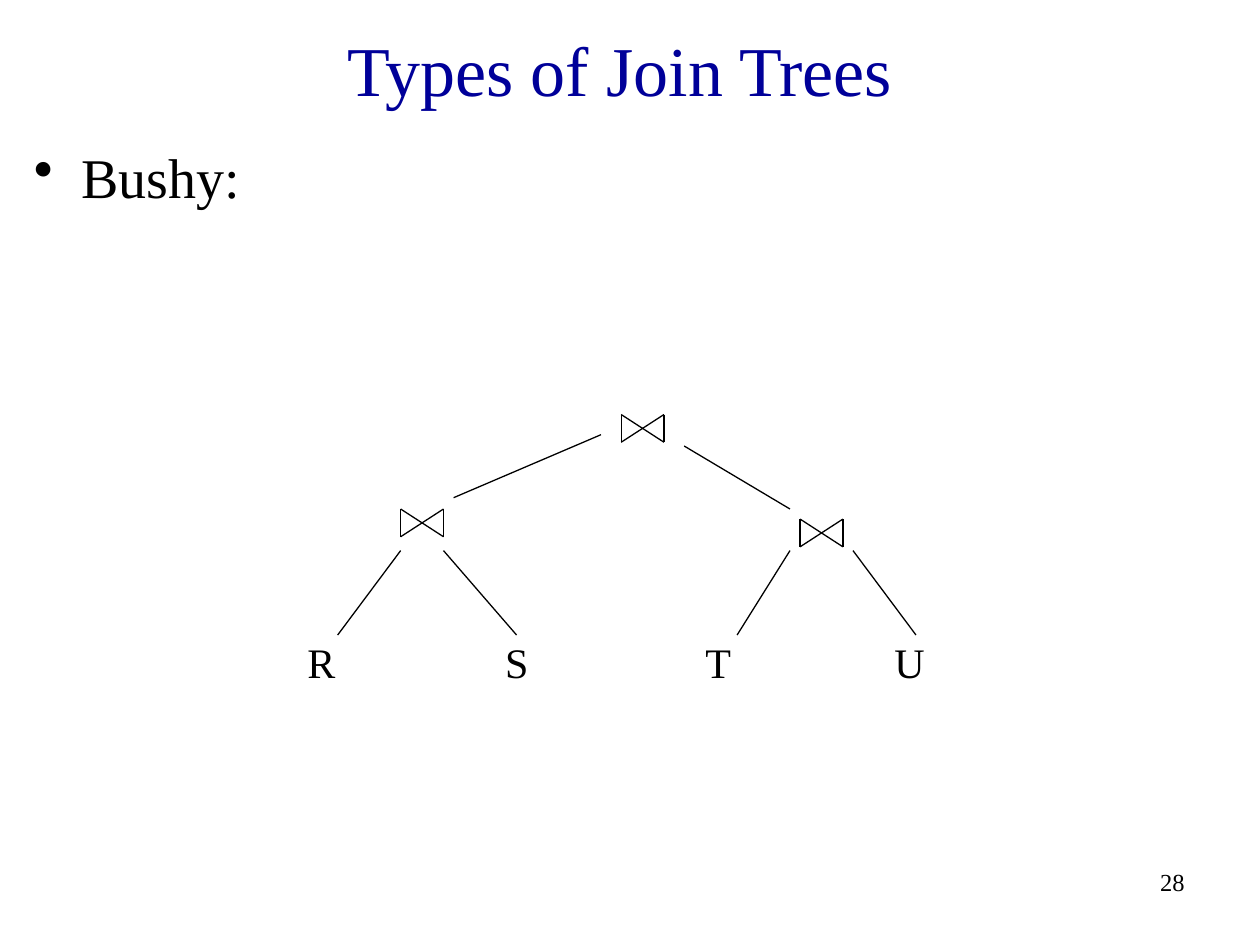
import pptx
import pptx.util
import pptx.dml.color
import pptx.enum.shapes
import pptx.enum.text
import pptx.oxml
import pptx.oxml.ns
from pptx.util import Inches

FONT = "Times New Roman"
BLACK = "000000"
TITLE_BLUE = "000099"
ALIGN = pptx.enum.text.PP_ALIGN
JOIN_WIDTH, JOIN_HEIGHT = 0.34, 0.22

# Top-left corners of the join symbols: root, left child, right child
JOINS = [(4.93, 3.29), (3.18, 4.04), (6.35, 4.12)]
# Relation name, left edge and width of its label
RELATIONS = [("R", 2.34, 0.42), ("S", 3.91, 0.38), ("T", 5.5, 0.4), ("U", 7, 0.44)]
# Tree edges from parent to child
BRANCHES = [
    ((4.77, 3.45), (3.6, 3.95)),
    ((5.43, 3.54), (6.27, 4.04)),
    ((3.18, 4.37), (2.68, 5.04)),
    ((3.52, 4.37), (4.1, 5.04)),
    ((6.27, 4.37), (5.85, 5.04)),
    ((6.77, 4.37), (7.27, 5.04)),
]


def rgb(color):
    return pptx.dml.color.RGBColor.from_string(color)


def write(frame, text, size, color=BLACK, align=ALIGN.LEFT):
    frame.text = text
    paragraph = frame.paragraphs[0]
    paragraph.alignment = align
    paragraph.font.name = FONT
    paragraph.font.size = pptx.util.Pt(size)
    paragraph.font.color.rgb = rgb(color)
    return paragraph


def add_title(slide, text):
    title = slide.shapes.title
    title.left, title.top = Inches(0.17), Inches(0.17)
    title.width, title.height = Inches(9.5), Inches(0.75)
    title.text_frame.auto_size = pptx.enum.text.MSO_AUTO_SIZE.NONE
    title.text_frame.vertical_anchor = pptx.enum.text.MSO_ANCHOR.MIDDLE
    write(title.text_frame, text, 40, TITLE_BLUE, ALIGN.CENTER)


def add_text(slide, text, left, top, width, height, size, align=ALIGN.LEFT, wrap=True):
    label = slide.shapes.add_textbox(Inches(left), Inches(top), Inches(width), Inches(height))
    label.text_frame.word_wrap = wrap
    return write(label.text_frame, text, size, align=align)


def add_bullet(paragraph):
    paragraph.space_before = pptx.util.Pt(8)
    properties = paragraph._p.get_or_add_pPr()
    properties.set("marL", str(Inches(0.38)))
    properties.set("indent", str(-Inches(0.38)))
    bullet = pptx.oxml.ns.qn("a:buChar")
    properties.append(properties.makeelement(bullet, {"char": "•"}))


def add_line(shapes, start, end):
    line = shapes.add_connector(
        pptx.enum.shapes.MSO_CONNECTOR.STRAIGHT, *map(Inches, start + end))
    line.line.color.rgb = rgb(BLACK)
    line.line.width = pptx.util.Pt(0.75)
    properties = line._element.spPr
    properties.append(properties.makeelement(pptx.oxml.ns.qn("a:effectLst"), {}))


def add_join(slide, left, top):
    """Bow-tie join symbol: one closed path through the four corners."""
    right, bottom = left + JOIN_WIDTH, top + JOIN_HEIGHT
    corners = [(left, top), (right, bottom), (right, top), (left, bottom)]
    symbol = slide.shapes.add_group_shape()
    for start, end in zip(corners, corners[1:] + corners[:1]):
        add_line(symbol.shapes, start, end)


def main():
    deck = pptx.Presentation()
    deck.slide_width, deck.slide_height = Inches(10), Inches(7.5)
    slide = deck.slides.add_slide(deck.slide_layouts.get_by_name("Title Only"))

    # Page number, heading and bullet
    add_text(slide, "28", 7.42, 6.83, 2.08, 0.5, 14, ALIGN.RIGHT)
    add_title(slide, "Types of Join Trees")
    add_bullet(add_text(slide, "Bushy:", 0.17, 1.08, 9.5, 5.92, 32))

    # Join tree
    for name, left, width in RELATIONS:
        add_text(slide, name, left, 5, width, 0.5, 24, wrap=False)
    for left, top in JOINS:
        add_join(slide, left, top)
    for parent, child in BRANCHES:
        add_line(slide.shapes, parent, child)

    deck.save("out.pptx")


if __name__ == "__main__":
    main()
